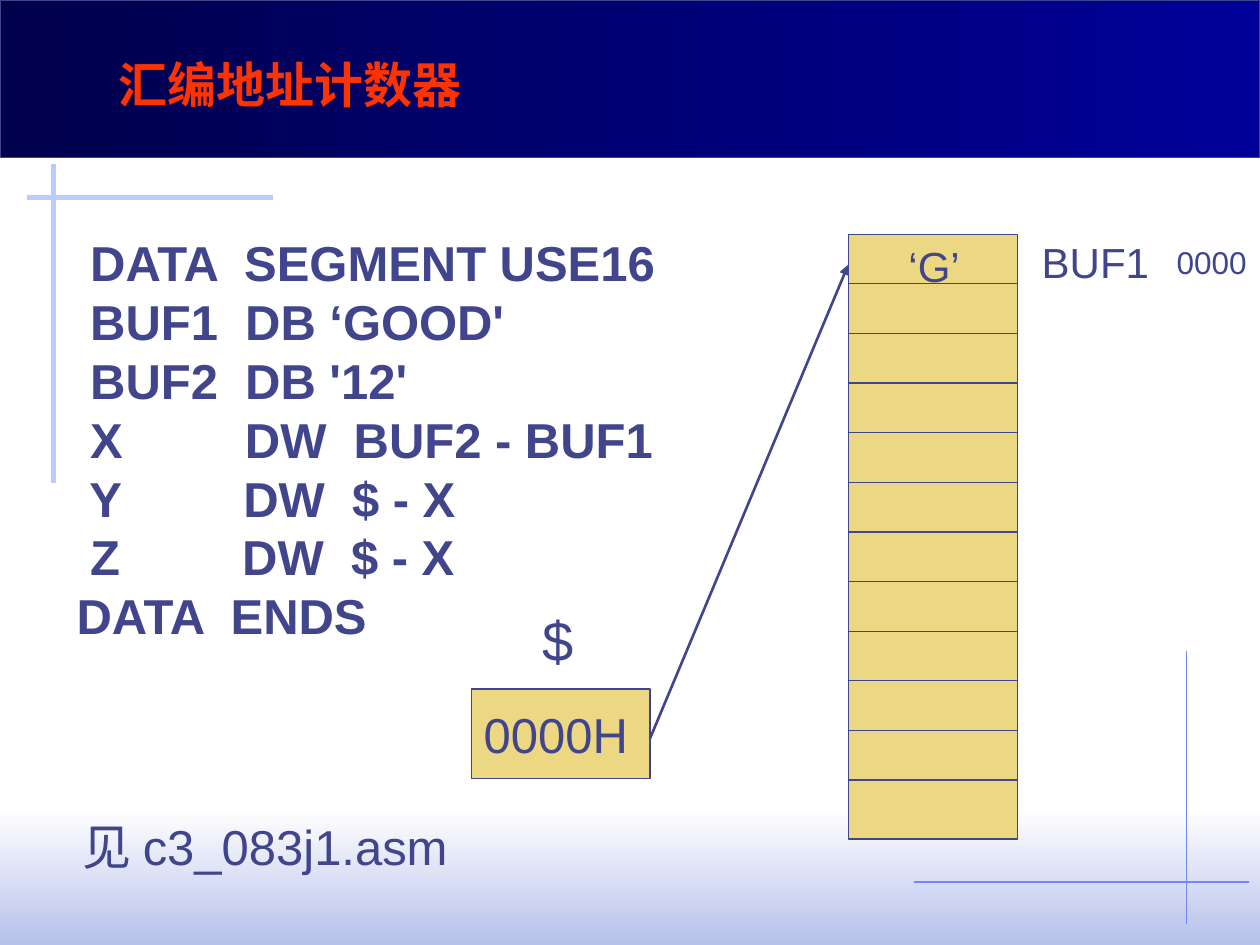
from pptx import Presentation
from pptx.dml.color import RGBColor
from pptx.enum.shapes import MSO_CONNECTOR as Connector, MSO_SHAPE as Shape
from pptx.enum.text import MSO_ANCHOR as Anchor, MSO_AUTO_SIZE as AutoSize, PP_ALIGN as Align
from pptx.oxml.ns import qn
from pptx.util import Pt
from lxml.etree import SubElement

COLORS = {
    "ink": "40458C",
    "title": "FF3300",
    "cell": "ECD882",
    "band_dark": "00004D",
    "band_light": "000099",
    "white": "FFFFFF",
    "footer": "B7C1EB",
    "thick_rule": "BBCBFD",
    "thin_rule": "6F89F7",
}

CODE = [
    " DATA  SEGMENT USE16",
    " BUF1  DB ‘GOOD'",
    " BUF2  DB '12'",
    " X         DW  BUF2 - BUF1",
    " Y         DW  $ - X",
    " Z         DW  $ - X",
    "DATA  ENDS",
]

MEMORY_LEFT, MEMORY_TOP, MEMORY_WIDTH, MEMORY_HEIGHT = 484.8, 133.9, 96.5, 345.6
FIRST_DIVIDER, CELL_HEIGHT, DIVIDER_COUNT = 162.2, 28.36, 11


def color(name):
    return RGBColor.from_string(COLORS[name])


def place(shape, left, top, width, height):
    shape.left, shape.top = Pt(left), Pt(top)
    shape.width, shape.height = Pt(width), Pt(height)


def write_lines(shape, lines, size, ink="ink", bold=False, inset=True, wrap=False):
    frame = shape.text_frame
    frame.word_wrap = wrap
    frame.auto_size = AutoSize.SHAPE_TO_FIT_TEXT
    frame.vertical_anchor = Anchor.TOP
    frame.margin_left = frame.margin_right = Pt(7.2 if inset else 0)
    frame.margin_top = frame.margin_bottom = Pt(3.6 if inset else 0)
    frame.text = "\n".join(lines)
    for paragraph in frame.paragraphs:
        paragraph.alignment = Align.LEFT
        paragraph.space_before = Pt(0)
        paragraph.line_spacing = Pt(size * 1.2)
        paragraph.font.name = "Arial"
        paragraph.font.size = Pt(size)
        paragraph.font.bold = bold
        paragraph.font.color.rgb = color(ink)


def add_text(slide, box, lines, size, **style):
    shape = slide.shapes.add_textbox(*map(Pt, box))
    write_lines(shape, lines, size, **style)


def add_box(slide, box, outline=None):
    shape = slide.shapes.add_shape(Shape.RECTANGLE, *map(Pt, box))
    shape.shadow.inherit = False
    if outline:
        shape.line.color.rgb = color(outline)
        shape.line.width = Pt(0.75)
    else:
        shape.line.fill.background()
    return shape


def add_solid(slide, box):
    shape = add_box(slide, box, "ink")
    shape.fill.solid()
    shape.fill.fore_color.rgb = color("cell")


def add_gradient(slide, box, names, angle, outline=None):
    fill = add_box(slide, box, outline).fill
    fill.gradient()
    fill.gradient_angle = angle
    for stop, name in zip(fill.gradient_stops, names):
        stop.color.rgb = color(name)


def add_line(slide, start, end, name="ink", width=0.75, arrow=False):
    connector = slide.shapes.add_connector(Connector.STRAIGHT, *map(Pt, start + end))
    connector.line.color.rgb = color(name)
    connector.line.width = Pt(width)
    properties = connector.element.spPr
    if arrow:
        SubElement(properties.find(qn("a:ln")), qn("a:tailEnd"), type="triangle")
    SubElement(properties, qn("a:effectLst"))


def add_backdrop(slide):
    add_gradient(slide, (0, 462.24, 720, 77.76), ("white", "footer"), 270)
    add_line(slide, (678.2, 372), (678.2, 528), "thin_rule")
    add_line(slide, (156, 113), (15.6, 113), "thick_rule", 3)
    add_line(slide, (30.7, 93.6), (30.7, 276), "thick_rule", 3)
    add_gradient(slide, (0, 0, 720, 90), ("band_dark", "band_light"), 0, "ink")
    add_line(slide, (522, 504), (714, 504), "thin_rule")


def add_memory(slide):
    add_solid(slide, (MEMORY_LEFT, MEMORY_TOP, MEMORY_WIDTH, MEMORY_HEIGHT))
    for index in range(DIVIDER_COUNT):
        y = FIRST_DIVIDER + index * CELL_HEIGHT
        add_line(slide, (MEMORY_LEFT, y), (MEMORY_LEFT + MEMORY_WIDTH, y))
    add_text(slide, (519.1, 137.5, 29.5, 28.8), ["‘G’"], 24, inset=False)
    add_text(slide, (588.2, 131.8, 76, 36), ["BUF1"], 24)
    add_text(slide, (665.3, 135.4, 54.6, 28.8), ["0000"], 18)


def add_counter(slide):
    add_solid(slide, (269.3, 393.8, 102.2, 51.1))
    add_text(slide, (303.1, 342.7, 32.4, 46.1), ["$"], 32)
    add_text(slide, (269.3, 398.9, 97.2, 41), ["0000H"], 28)
    add_line(slide, (371.5, 421.9), (MEMORY_LEFT, 151.2), width=1.5, arrow=True)


def add_title(slide):
    title = slide.shapes.title
    place(title, 60.5, 27.4, 210.6, 41)
    write_lines(title, ["汇编地址计数器"], 28, ink="title", bold=True)
    slide.shapes.element.append(title.element)


def main():
    presentation = Presentation()
    presentation.slide_width, presentation.slide_height = Pt(720), Pt(540)
    slide = presentation.slides.add_slide(presentation.slide_layouts[5])
    add_backdrop(slide)
    add_text(slide, (36.7, 129.6, 368.6, 242.6), CODE, 28, bold=True, wrap=True)
    add_text(slide, (40.3, 463, 230, 41), ["见 c3_083j1.asm"], 28)
    add_counter(slide)
    add_memory(slide)
    add_title(slide)
    presentation.save("out.pptx")


if __name__ == "__main__":
    main()
